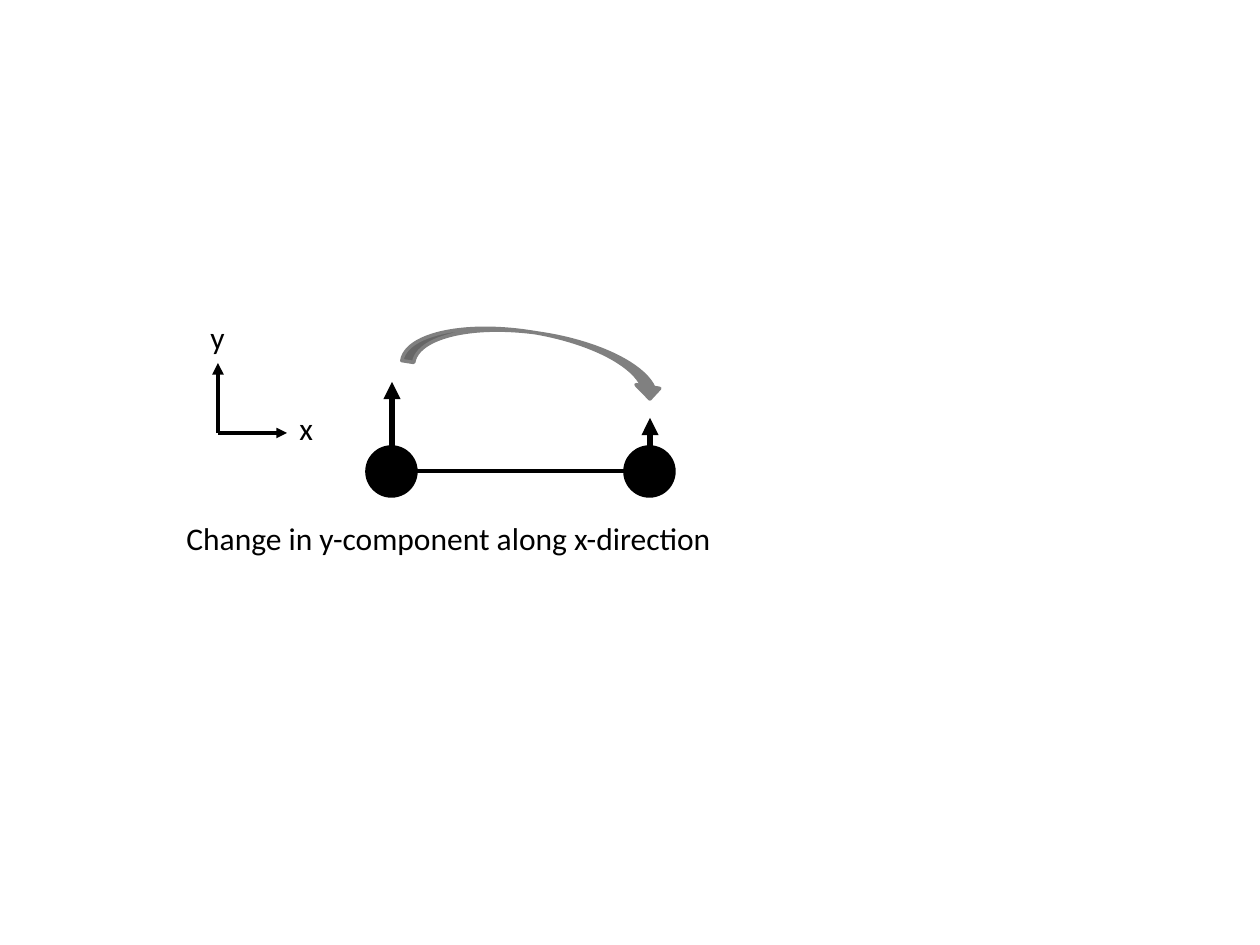
from lxml import etree
from pptx import Presentation
from pptx.dml.color import RGBColor
from pptx.enum.shapes import MSO_CONNECTOR, MSO_SHAPE
from pptx.oxml.ns import qn
from pptx.util import Emu, Pt

OVAL = MSO_SHAPE.OVAL
CURVE = MSO_SHAPE.CURVED_DOWN_ARROW
LINE = MSO_CONNECTOR.STRAIGHT
BLACK = RGBColor(0, 0, 0)
GREY = RGBColor(128, 128, 128)
FONT = "Calibri"
NODE = 49  # diameter of a node


def px(n):
    return Emu(round(n * 914400 / 126))


def add_shape(slide, kind, box, color):
    shape = slide.shapes.add_shape(kind, *map(px, box))
    shape.shadow.inherit = False
    shape.fill.solid()
    shape.fill.fore_color.rgb = color
    shape.line.color.rgb = color
    shape.line.width = Pt(2)
    return shape


def add_line(slide, start, end, width, arrow=True):
    line = slide.shapes.add_connector(LINE, *map(px, start + end))
    line.line.color.rgb = BLACK
    line.line.width = Pt(width)
    if arrow:
        etree.SubElement(line.line._get_or_add_ln(), qn("a:tailEnd"), type="triangle")
    etree.SubElement(line._element.spPr, qn("a:effectLst"))


def add_label(slide, text, box):
    frame = slide.shapes.add_textbox(*map(px, box)).text_frame
    frame.word_wrap = False
    run = frame.paragraphs[0].add_run()
    run.text = text
    run.font.name = FONT
    run.font.size = Pt(18)
    run.font.color.rgb = BLACK


def main():
    prs = Presentation()
    prs.slide_width, prs.slide_height = px(1260), px(945)
    slide = prs.slides.add_slide(prs.slide_layouts[6])

    left, right, mid = 392, 650, 471
    for x, tip in ((left, 382), (right, 418)):
        add_shape(slide, OVAL, (x - NODE // 2 - 1, 447, NODE, NODE), BLACK)
        add_line(slide, (x, mid), (x, tip), 3.25)
    add_line(slide, (left, mid), (right, mid), 2.25, arrow=False)
    add_shape(slide, CURVE, (404, 333, 263, 48), GREY).rotation = 8.8

    origin = (218, 433)
    add_line(slide, origin, (218, 363), 2.25)
    add_line(slide, origin, (287, 433), 2)
    add_label(slide, "y", (198, 312, 39, 50))
    add_label(slide, "x", (287, 403, 25, 50))
    add_label(slide, "Change in y-component along x-direction", (174, 513, 566, 50))

    prs.save("out.pptx")


if __name__ == "__main__":
    main()
